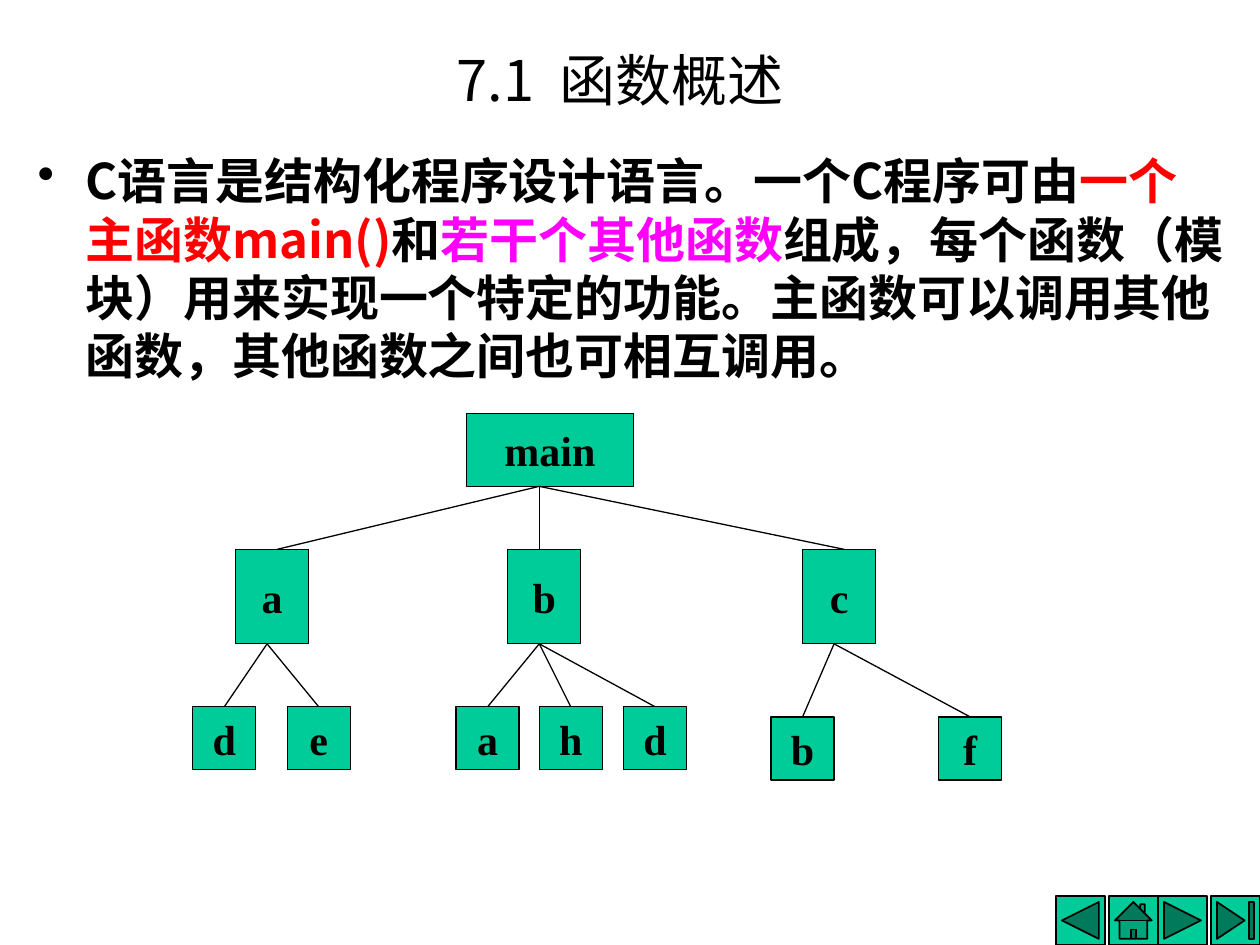
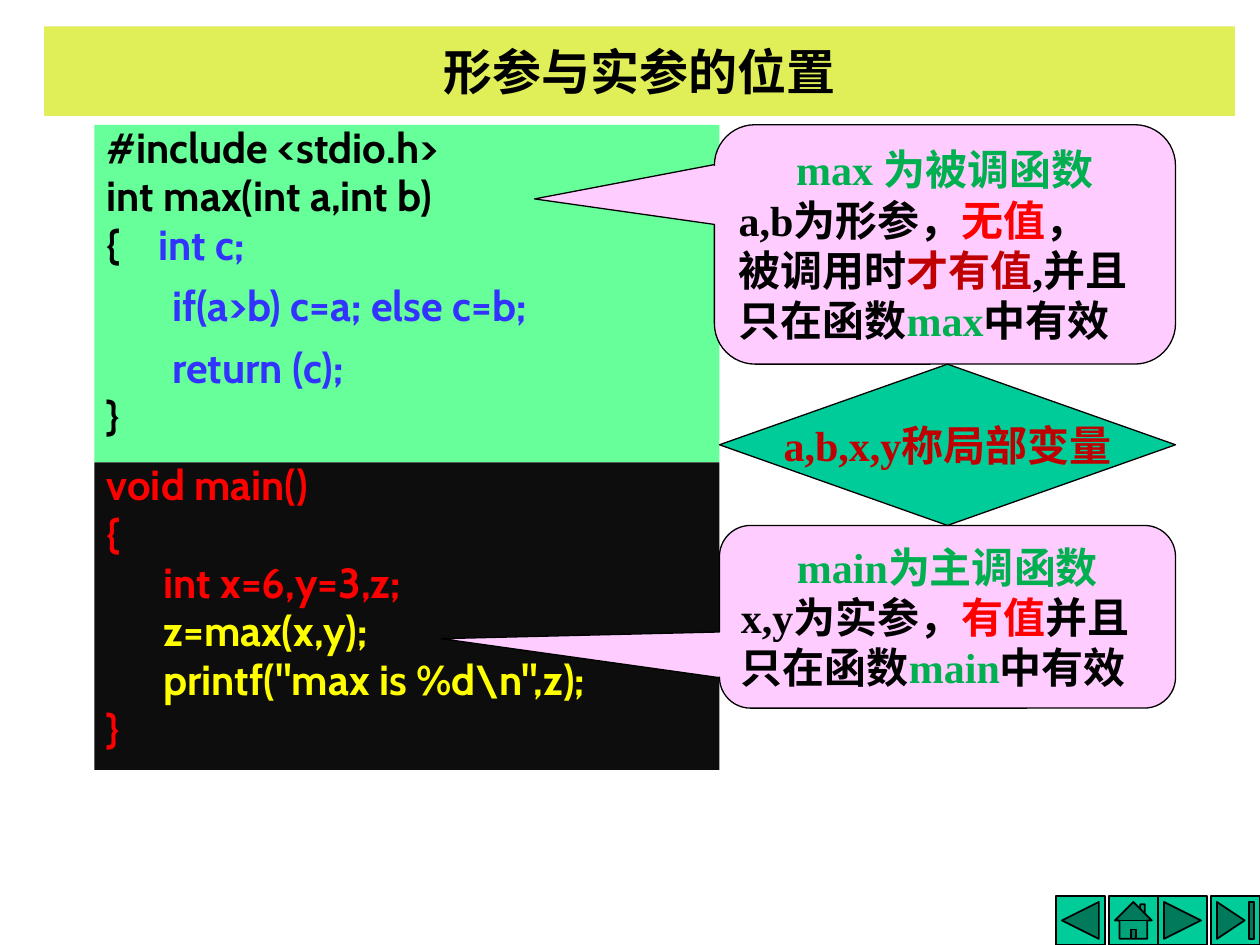
from dataclasses import dataclass
from typing import Any, Optional

from lxml import etree
from pptx import Presentation
from pptx import util as u
from pptx.dml.color import RGBColor
from pptx.enum import shapes, text
from pptx.oxml import ns

COLUMNS, ROWS = 100, 75
MSO = shapes.MSO_SHAPE
CENTER, LEFT = text.PP_ALIGN.CENTER, text.PP_ALIGN.LEFT
MIDDLE, TOP = text.MSO_ANCHOR.MIDDLE, text.MSO_ANCHOR.TOP


@dataclass(frozen=True)
class Theme:
    black: str = "000000"
    red: str = "FF0000"
    dark_red: str = "C00000"
    magenta: str = "FF00FF"
    blue: str = "3333FF"
    yellow: str = "FFFF00"
    green: str = "00B050"
    teal: str = "00CC99"
    mint: str = "66FF99"
    pink: str = "FFCCFF"
    lime: str = "E0EE58"
    night: str = "0D0D0D"
    sans: str = "Noto Sans CJK SC"
    serif: str = "Times New Roman"
    code: str = "Cabin"
    title_size: float = 32
    body_size: float = 28
    label_size: float = 24
    line: float = 0.75
    button_line: float = 1


T = Theme()


@dataclass(frozen=True)
class Box:
    """Left, top, width and height in grid cells."""
    x: float
    y: float
    w: float
    h: float


@dataclass(frozen=True)
class Run:
    text: str
    color: str = T.black
    spacing: float = 0


@dataclass(frozen=True)
class Para:
    runs: list[Run]
    align: Any = LEFT
    before: float = 0
    leading: Any = 1.0
    margin: float = 0
    hang: float = 0
    bullet: str = ""


@dataclass(frozen=True)
class Style:
    font: str
    size: float
    bold: bool = True
    anchor: Any = MIDDLE
    wrap: bool = True


TITLE = Style(T.sans, T.title_size, bold=False)
BANNER = Style(T.sans, T.body_size)
BODY = Style(T.sans, T.body_size, anchor=TOP)
CODE = Style(T.code, T.label_size, anchor=TOP)
NOTE = Style(T.serif, T.label_size)
LABEL = Style(T.serif, T.label_size, wrap=False)


@dataclass(frozen=True)
class Node:
    """A box of the call tree; entry and stem shift its lines off its centre."""
    label: str
    box: Box
    entry: float = 0
    stem: float = 0
    children: tuple["Node", ...] = ()

    @property
    def centre(self) -> float:
        return self.box.x + self.box.w / 2


def cells(n: float) -> int:
    return u.Inches(n * 10 / COLUMNS)


def assign(obj: Any, values: dict[str, Any]) -> None:
    for name, value in values.items():
        setattr(obj, name, value)


def add_run(p: Any, run: Run, style: Style) -> None:
    r = p.add_run()
    r.text = run.text
    assign(r.font, {"name": style.font, "size": u.Pt(style.size), "bold": style.bold})
    r.font.color.rgb = RGBColor.from_string(run.color)
    rpr = r._r.get_or_add_rPr()
    etree.SubElement(rpr, ns.qn("a:ea")).set("typeface", T.sans)
    if run.spacing:
        rpr.set("spc", str(int(run.spacing * 100)))


def write(sp: Any, paras: list[Para], style: Style) -> None:
    tf = sp.text_frame
    assign(tf, {"word_wrap": style.wrap, "vertical_anchor": style.anchor})
    for i, para in enumerate(paras):
        p = tf.paragraphs[0] if i == 0 else tf.add_paragraph()
        assign(p, {"alignment": para.align, "space_before": u.Pt(para.before),
                   "line_spacing": para.leading})
        ppr = p._p.get_or_add_pPr()
        ppr.set("marL", str(cells(para.margin)))
        ppr.set("indent", str(-cells(para.hang)))
        if para.bullet:
            etree.SubElement(ppr, ns.qn("a:buChar")).set("char", para.bullet)
        for run in para.runs:
            add_run(p, run, style)


def add_shape(s: Any, kind: Any, box: Box, fill: str, line: float = 0,
              adjust: tuple[float, ...] = ()) -> Any:
    sp = s.shapes.add_shape(kind, *map(cells, (box.x, box.y, box.w, box.h)))
    sp.shadow.inherit = False
    sp.fill.solid()
    sp.fill.fore_color.rgb = RGBColor.from_string(fill)
    if line:
        sp.line.color.rgb = RGBColor.from_string(T.black)
        sp.line.width = u.Pt(line)
    else:
        sp.line.fill.background()
    for i, value in enumerate(adjust):
        sp.adjustments[i] = value
    return sp


def add_text(s: Any, box: Box, paras: list[Para], style: Style,
             fill: Optional[str] = None) -> None:
    """Put text on a filled panel, or in a plain text box without fill."""
    if fill:
        sp = add_shape(s, MSO.RECTANGLE, box, fill)
    else:
        sp = s.shapes.add_textbox(*map(cells, (box.x, box.y, box.w, box.h)))
    write(sp, paras, style)


def add_line(s: Any, x1: float, y1: float, x2: float, y2: float) -> None:
    cn = s.shapes.add_connector(shapes.MSO_CONNECTOR.STRAIGHT,
                                *map(cells, (x1, y1, x2, y2)))
    cn.line.color.rgb = RGBColor.from_string(T.black)
    cn.line.width = u.Pt(T.line)
    etree.SubElement(cn._element.spPr, ns.qn("a:effectLst"))


def add_tree(s: Any, node: Node) -> None:
    """Draw a node, then its children and the lines to them."""
    sp = add_shape(s, MSO.RECTANGLE, node.box, T.teal, T.line)
    write(sp, [Para([Run(node.label)], CENTER)], LABEL)
    for child in node.children:
        add_line(s, node.centre + node.stem, node.box.y + node.box.h,
                 child.centre + child.entry, child.box.y)
        add_tree(s, child)


def add_navigation(s: Any) -> None:
    side = 3.9
    buttons = {
        MSO.ACTION_BUTTON_BACK_OR_PREVIOUS: 83.8,
        MSO.ACTION_BUTTON_HOME: 88,
        MSO.ACTION_BUTTON_FORWARD_OR_NEXT: 91.9,
        MSO.ACTION_BUTTON_END: 96.1,
    }
    for kind, x in buttons.items():
        add_shape(s, kind, Box(x, ROWS - side, side, side), T.teal, T.button_line)


def new_slide(prs: Any) -> Any:
    s = prs.slides.add_slide(prs.slide_layouts[6])
    add_navigation(s)
    return s


def leaves(top: float, lefts: dict[str, float]) -> tuple[Node, ...]:
    return tuple(Node(name, Box(x, top, 5, 5)) for name, x in lefts.items())


def branch(name: str, x: float, entry: float, children: tuple[Node, ...]) -> Node:
    return Node(name, Box(x, 43.6, 5.8, 7.5), entry, -0.4, children)


def overview_slide(prs: Any) -> None:
    s = new_slide(prs)
    add_text(s, Box(6.7, 0, 85, 12.5),
             [Para([Run("7.1"), Run(" ", spacing=7), Run("函数概述")], CENTER)], TITLE)
    add_text(s, Box(2, 11.5, 96.1, 52), [Para([
        Run("C语言是结构化程序设计语言。一个C程序可由"),
        Run("一个主函数main()", T.red),
        Run("和"),
        Run("若干个其他函数", T.magenta),
        Run("组成，每个函数（模块）用来实现一个特定的功能。"
            "主函数可以调用其他函数，其他函数之间也可相互调用。"),
    ], before=4, leading=u.Pt(33.4), margin=3.8, hang=3.8, bullet="•")], BODY)
    add_tree(s, Node("main", Box(37, 32.8, 13.3, 5.8), stem=-0.85, children=(
        branch("a", 18.7, 0.4, leaves(56.1, {"d": 15.3, "e": 22.8})),
        branch("b", 40.3, -0.4, leaves(56.1, {"a": 36.2, "h": 42.8, "d": 49.5})),
        branch("c", 63.7, 0.4, leaves(56.9, {"b": 61.2, "f": 74.5})),
    )))


def code_line(source: str, color: str, margin: float = 0, before: float = 4.8) -> Para:
    return Para([Run(source, color)], before=before, leading=0.8, margin=margin)


def note(heading: str, lines: list[list[Run]]) -> list[Para]:
    leading = u.Pt(28.6)
    return [Para([Run(heading, T.green)], CENTER, leading=leading),
            *(Para(runs, leading=leading) for runs in lines)]


def arguments_slide(prs: Any) -> None:
    s = new_slide(prs)
    add_text(s, Box(3.5, 2.1, 94.5, 7.1),
             [Para([Run("形参与实参的位置")], CENTER)], BANNER, T.lime)

    add_text(s, Box(7.5, 9.9, 49.6, 26.8), [
        code_line("#include <stdio.h>", T.black),
        code_line("int max(int a,int b)", T.black),
        Para([Run("{\t"), Run("int c;", T.blue)],
             before=4.8, leading=0.8, margin=4.1, hang=4.1),
        code_line("if(a>b) c=a; else c=b;", T.blue, 5.2, 12),
        code_line("return (c);", T.blue, 5.2, 12),
        code_line("}", T.black),
    ], CODE, T.mint)
    add_text(s, Box(7.5, 36.7, 49.6, 24.4), [
        code_line("void main()", T.red),
        code_line("{", T.red),
        code_line("int x=6,y=3,z;", T.red, 4.5),
        code_line("z=max(x,y);", T.yellow, 4.5),
        code_line('printf("max is %d\\n",z);', T.yellow, 4.5),
        code_line("}", T.red),
    ], CODE, T.night)

    callouts = [
        (Box(56.7, 9.9, 36.6, 19), (-0.89, -0.19, 0.17), note("max 为被调函数", [
            [Run("a,b为形参，"), Run("无值", T.red), Run("，")],
            [Run("被调用时"), Run("才有值", T.dark_red), Run(",并且只在函数"),
             Run("max", T.green), Run("中有效")],
        ])),
        (Box(57.1, 41.7, 36.2, 14.5), (-1.11, 0.12, 0.17), note("main为主调函数", [
            [Run("x,y为实参，"), Run("有值", T.red), Run("并且只在函数"),
             Run("main", T.green), Run("中有效")],
        ])),
    ]
    for box, adjust, paras in callouts:
        sp = add_shape(s, MSO.ROUNDED_RECTANGULAR_CALLOUT, box, T.pink, T.line, adjust)
        write(sp, paras, NOTE)

    sp = add_shape(s, MSO.DIAMOND, Box(57.1, 28.9, 36.2, 12.8), T.teal, T.line)
    write(sp, [Para([Run("a,b,x,y称局部变量", T.dark_red)], CENTER)], LABEL)


def main() -> None:
    prs = Presentation()
    assign(prs, {"slide_width": cells(COLUMNS), "slide_height": cells(ROWS)})
    overview_slide(prs)
    arguments_slide(prs)
    prs.save("out.pptx")


if __name__ == "__main__":
    main()
